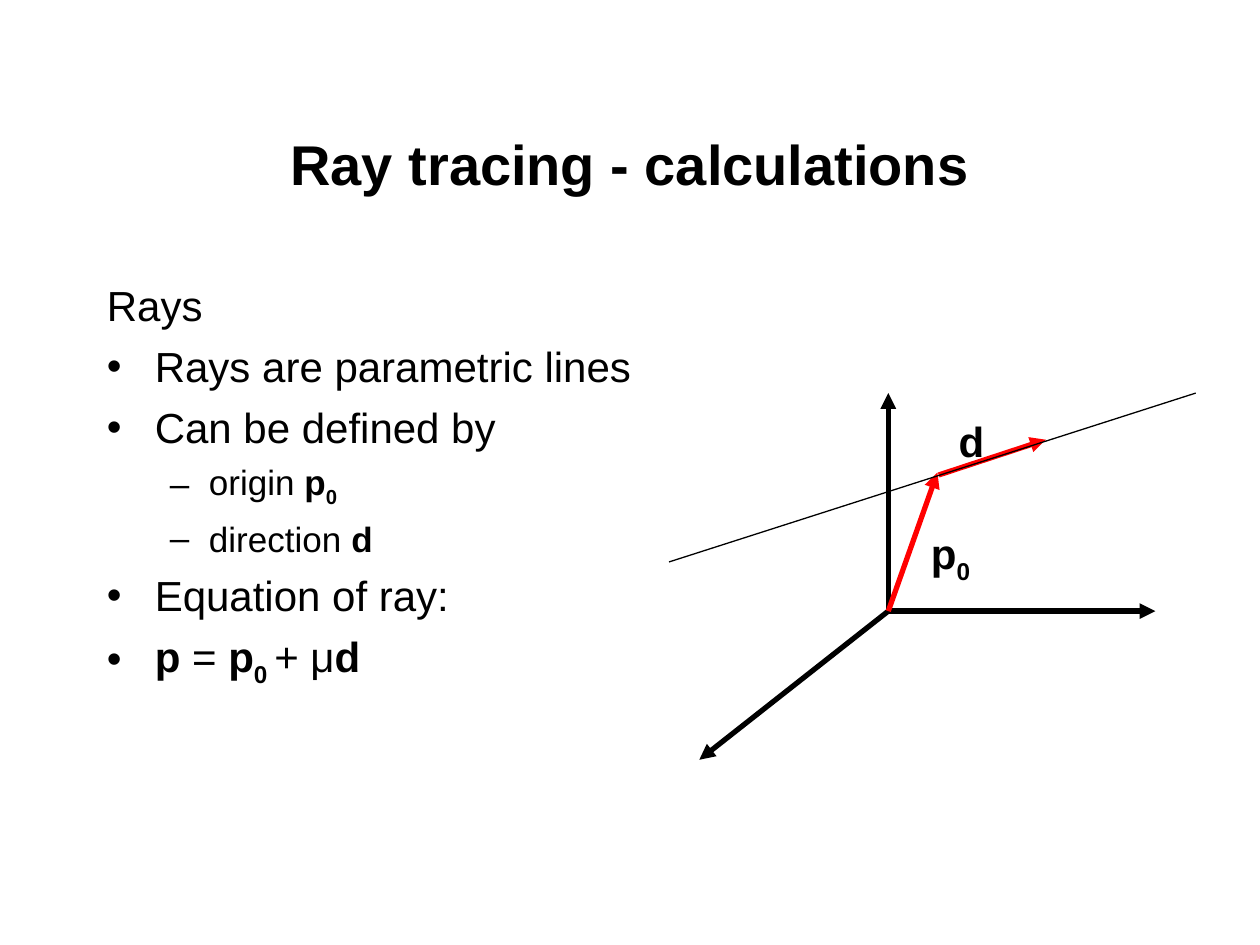
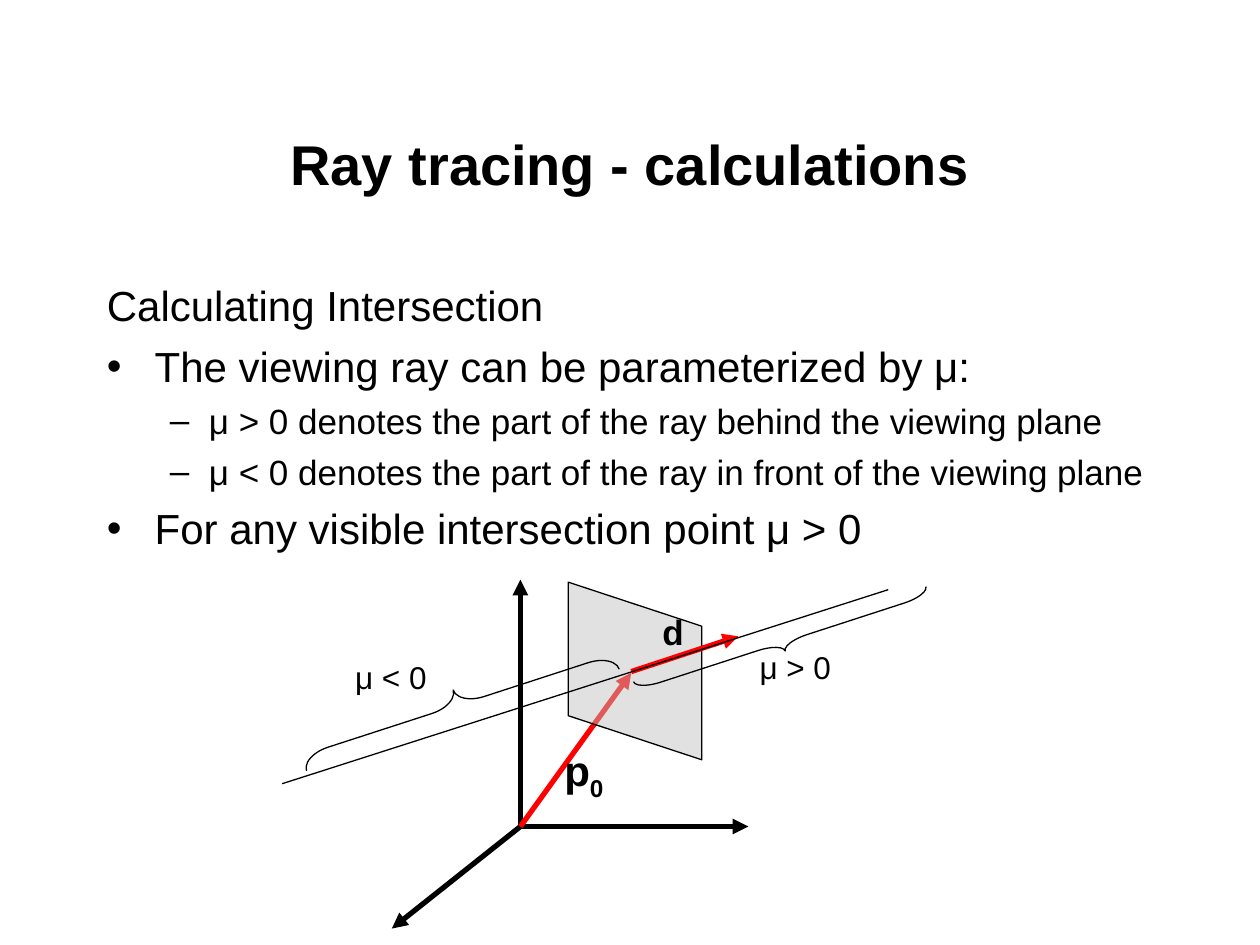
from dataclasses import dataclass
from typing import NamedTuple

from lxml import etree
from pptx import Presentation
from pptx import util as u
from pptx.dml.color import RGBColor
from pptx.enum import shapes, text
from pptx.oxml import ns

PX = 9144
FONT = "Arial"
BLACK = RGBColor(0x00, 0x00, 0x00)
RED = RGBColor(0xFF, 0x00, 0x00)
PLANE_GREY = RGBColor(0xC0, 0xC0, 0xC0)
PLANE_OPACITY = 47
THIN, THICK = 0.75, 3
BRACE_ANGLE = 252


class Point(NamedTuple):
    x: int
    y: int


class Box(NamedTuple):
    left: int
    top: int
    width: int
    height: int


class Piece(NamedTuple):
    text: str
    bold: bool = False
    subscript: bool = False


@dataclass(frozen=True)
class Level:
    size: int
    before: int
    margin: int
    hanging: int
    bullet: str = ""


@dataclass(frozen=True)
class Item:
    level: Level
    pieces: tuple[Piece, ...]


@dataclass(frozen=True)
class Line:
    start: Point
    end: Point
    color: RGBColor = BLACK
    weight: float = THICK
    arrow: bool = True


@dataclass(frozen=True)
class Label:
    box: Box
    pieces: tuple[Piece, ...]
    size: int
    wrap: bool = False


@dataclass(frozen=True)
class Brace:
    kind: shapes.MSO_SHAPE
    box: Box


HEADING = Level(24, 6, 38, 38)
POINT = Level(24, 6, 38, 38, "•")
SUBPOINT = Level(20, 5, 81, 31, "–")

TITLE = "Ray tracing - calculations"
TITLE_BOX = Box(75, 67, 850, 125)
P0 = (Piece("p", True), Piece("0", True, True))
D = (Piece("d", True),)


def plain(words: str) -> tuple[Piece, ...]:
    return (Piece(words),)


def emu(*lengths: int) -> list[u.Emu]:
    return [u.Emu(length * PX) for length in lengths]


def add_child(parent, tag: str, **attributes: str):
    return etree.SubElement(parent, ns.qn(tag), attributes)


def add_frame(parent, box: Box, wrap: bool = True):
    frame = parent.add_textbox(*emu(*box)).text_frame
    frame.word_wrap = wrap
    return frame


def write_pieces(paragraph, pieces: tuple[Piece, ...], size: int) -> None:
    for piece in pieces:
        run = paragraph.add_run()
        run.text = piece.text
        run.font.name = FONT
        run.font.size = u.Pt(size)
        run.font.bold = piece.bold
        run.font.color.rgb = BLACK
        if piece.subscript:
            run.font._element.set("baseline", "-25000")


def draw_title(slide) -> None:
    frame = add_frame(slide.shapes, TITLE_BOX)
    frame.vertical_anchor = text.MSO_ANCHOR.MIDDLE
    heading = frame.paragraphs[0]
    heading.alignment = text.PP_ALIGN.CENTER
    heading.space_before, heading.space_after = u.Pt(12), u.Pt(6)
    write_pieces(heading, (Piece(TITLE, True),), 32)


def draw_body(slide, width: int, items: list[Item]) -> None:
    frame = add_frame(slide.shapes, Box(75, 217, width, 450))
    for index, item in enumerate(items):
        paragraph = frame.add_paragraph() if index else frame.paragraphs[0]
        level = item.level
        paragraph.space_before = u.Pt(level.before)
        properties = paragraph._p.get_or_add_pPr()
        properties.set("marL", str(level.margin * PX))
        properties.set("indent", str(-level.hanging * PX))
        if level.bullet:
            color = add_child(properties, "a:buClr")
            add_child(color, "a:srgbClr", val=str(BLACK))
            add_child(properties, "a:buFont", typeface=FONT)
            add_child(properties, "a:buChar", char=level.bullet)
        write_pieces(paragraph, item.pieces, level.size)


def draw_line(diagram, line: Line) -> None:
    connector = diagram.add_connector(
        shapes.MSO_CONNECTOR.STRAIGHT, *emu(*line.start, *line.end))
    connector.line.color.rgb = line.color
    connector.line.width = u.Pt(line.weight)
    if line.arrow:
        add_child(connector.line._get_or_add_ln(), "a:tailEnd", type="triangle")
    add_child(connector._element.spPr, "a:effectLst")


def draw_axes(diagram, origin: Point, tips: list[Point]) -> None:
    for tip in tips:
        draw_line(diagram, Line(origin, tip))


def draw_label(diagram, label: Label) -> None:
    frame = add_frame(diagram, label.box, label.wrap)
    frame.auto_size = text.MSO_AUTO_SIZE.SHAPE_TO_FIT_TEXT
    write_pieces(frame.paragraphs[0], label.pieces, label.size)


def outline(shape) -> None:
    shape.shadow.inherit = False
    shape.line.color.rgb = BLACK
    shape.line.width = u.Pt(THIN)


def draw_plane(diagram, corners: list[Point]) -> None:
    builder = diagram.build_freeform(*corners[0], scale=PX)
    builder.add_line_segments(corners[1:], close=True)
    plane = builder.convert_to_shape()
    outline(plane)
    plane.fill.solid()
    plane.fill.fore_color.rgb = PLANE_GREY
    color = plane._element.spPr.find(ns.qn("a:solidFill"))[0]
    add_child(color, "a:alpha", val=str(PLANE_OPACITY * 1000))


def draw_brace(diagram, brace: Brace) -> None:
    shape = diagram.add_shape(brace.kind, *emu(*brace.box))
    shape.adjustments[0] = brace.box.height / 12 / brace.box.width
    shape.rotation = BRACE_ANGLE
    shape.fill.background()
    outline(shape)


def build_rays(slide) -> None:
    draw_title(slide)
    draw_body(slide, 472, [
        Item(HEADING, plain("Rays")),
        Item(POINT, plain("Rays are parametric lines")),
        Item(POINT, plain("Can be defined by")),
        Item(SUBPOINT, (Piece("origin "), *P0)),
        Item(SUBPOINT, (Piece("direction "), *D)),
        Item(POINT, plain("Equation of ray:")),
        Item(POINT, (Piece("p", True), Piece(" = "), Piece("p", True),
                     Piece("0 ", True, True), Piece("+ μ"), *D)),
    ])
    diagram = slide.shapes.add_group_shape().shapes
    origin = Point(705, 485)
    draw_axes(diagram, origin, [Point(917, 485), Point(555, 603), Point(705, 312)])
    draw_line(diagram, Line(origin, Point(744, 375), RED))
    draw_line(diagram, Line(Point(745, 377), Point(830, 349), RED))
    draw_line(diagram, Line(Point(531, 446), Point(949, 312), weight=THIN, arrow=False))
    draw_label(diagram, Label(Box(729, 414, 51, 56), P0, 24))
    draw_label(diagram, Label(Box(751, 325, 40, 50), D, 24))


def build_intersection(slide) -> None:
    draw_title(slide)
    draw_body(slide, 850, [
        Item(HEADING, plain("Calculating Intersection")),
        Item(POINT, plain("The viewing ray can be parameterized by μ:")),
        Item(SUBPOINT, plain("μ > 0 denotes the part of the ray behind the viewing plane")),
        Item(SUBPOINT, plain("μ < 0 denotes the part of the ray in front of the viewing plane")),
        Item(POINT, plain("For any visible intersection point μ > 0")),
    ])
    diagram = slide.shapes.add_group_shape().shapes
    origin = Point(413, 656)
    draw_axes(diagram, origin, [Point(594, 656), Point(311, 737), Point(413, 460)])
    draw_line(diagram, Line(origin, Point(501, 534), RED))
    draw_label(diagram, Label(Box(438, 586, 51, 56), P0, 24))
    draw_plane(diagram, [Point(451, 462), Point(451, 568), Point(557, 603), Point(557, 497)])
    draw_line(diagram, Line(Point(501, 533), Point(586, 505), RED))
    draw_line(diagram, Line(Point(224, 622), Point(705, 468), weight=THIN, arrow=False))
    draw_label(diagram, Label(Box(516, 480, 37, 44), D, 20))
    draw_brace(diagram, Brace(shapes.MSO_SHAPE.LEFT_BRACE, Box(614, 388, 14, 244)))
    draw_brace(diagram, Brace(shapes.MSO_SHAPE.RIGHT_BRACE, Box(351, 429, 25, 261)))
    draw_label(diagram, Label(Box(593, 509, 96, 40), plain("μ > 0"), 18, True))
    draw_label(diagram, Label(Box(272, 517, 96, 40), plain("μ < 0"), 18, True))


def main() -> None:
    deck = Presentation()
    deck.slide_width, deck.slide_height = emu(1000, 750)
    blank = deck.slide_layouts[6]
    for build in (build_rays, build_intersection):
        build(deck.slides.add_slide(blank))
    deck.save("out.pptx")


if __name__ == "__main__":
    main()
